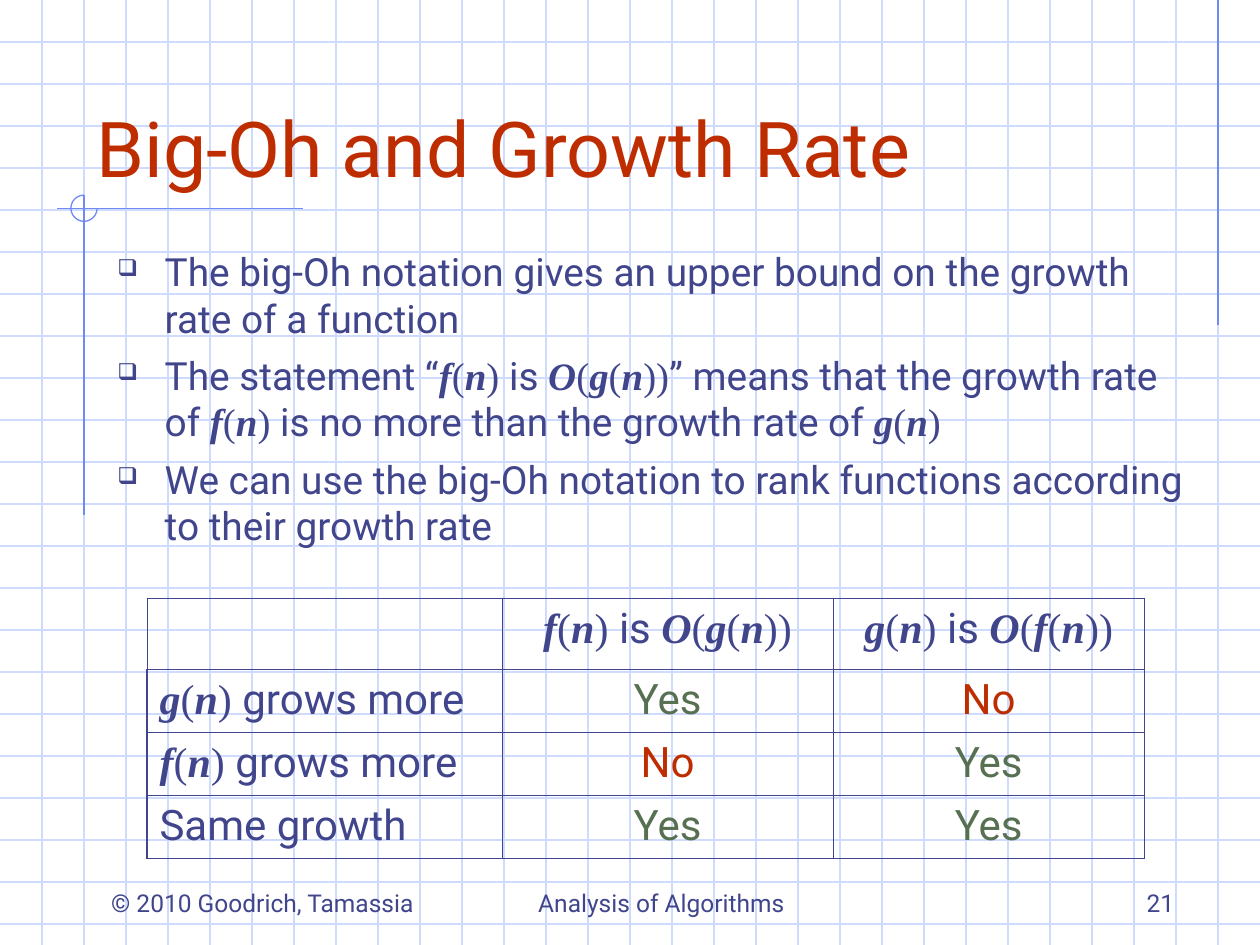
from itertools import groupby

from lxml import etree
from pptx import Presentation
from pptx.dml.color import RGBColor
from pptx.enum import shapes, text
from pptx.oxml import ns
from pptx.util import Pt

HUES = {"ink": "40458C", "red": "BE2D00", "green": "577052",
        "grid": "CFDBFD", "rule": "6F89F7"}
SANS, SERIF = "Roboto", "Times New Roman"
LEFT, MID, RIGHT = text.PP_ALIGN.LEFT, text.PP_ALIGN.CENTER, text.PP_ALIGN.RIGHT
TOP, LOW = text.MSO_ANCHOR.TOP, text.MSO_ANCHOR.BOTTOM
STEP = 24

POINTS = [
    "The big-Oh notation gives an upper bound on the growth rate of a function",
    "The statement “|f(n) |is |O(g(n))|” means that the growth rate of "
    "|f(n) |is no more than the growth rate of |g(n)",
    "We can use the big-Oh notation to rank functions according to their growth rate",
]
ROWS = [
    ["", "|f(n) |is |O(g(n))", "|g(n) |is |O(f(n))"],
    ["|g(n) |grows more", "Yes", "No"],
    ["|f(n) |grows more", "No", "Yes"],
    ["Same growth", "Yes", "Yes"],
]


def tint(name):
    return RGBColor.from_string(HUES[name])


def add_el(root, tag, **attrs):
    return etree.SubElement(root, ns.qn(tag), attrs)


def add_run(para, words, size, hue, **form):
    run = para.add_run()
    run.text = words
    for key, val in {"size": Pt(size), "name": SANS, **form}.items():
        setattr(run.font, key, val)
    run.font.color.rgb = tint(hue)


def write(para, words, size, hue, align=LEFT):
    para.alignment = align
    for i, part in enumerate(words.split("|")):
        if i % 2 == 0:
            if part:
                add_run(para, part, size, hue)
            continue
        for slant, chars in groupby(part, str.isalpha):
            add_run(para, "".join(chars), size, hue,
                    name=SERIF, bold=slant, italic=slant)


def add_box(slide, box, anchor):
    frame = slide.shapes.add_textbox(*map(Pt, box)).text_frame
    for key, val in {"word_wrap": True, "vertical_anchor": anchor}.items():
        setattr(frame, key, val)
    return frame


def add_label(slide, box, words, size, hue, align):
    write(add_box(slide, box, LOW).paragraphs[0], words, size, hue, align)


def add_line(slide, ends, hue):
    line = slide.shapes.add_connector(
        shapes.MSO_CONNECTOR.STRAIGHT, *map(Pt, ends))
    line.line.color.rgb = tint(hue)
    line.line.width = Pt(0.75)
    add_el(line._element.spPr, "a:effectLst")


def add_grid(slide, box):
    x, y, wide, high = box
    for pos in range(STEP, high, STEP):
        add_line(slide, (x, y + pos, x + wide, y + pos), "grid")
    for pos in range(STEP, wide, STEP):
        add_line(slide, (x + pos, y, x + pos, y + high), "grid")


def add_rules(slide, box):
    x, y, wide, high = box
    mid = x + 15.5
    add_line(slide, (x + wide, 0, x + wide, 186), "rule")
    add_line(slide, (x + 140.5, y + 7.5, x, y + 7.5), "rule")
    add_line(slide, (mid, y, mid, y + high), "rule")
    arc = slide.shapes.add_shape(
        shapes.MSO_SHAPE.ARC, Pt(mid - 7.5), Pt(y), Pt(15), Pt(15))
    arc.adjustments[0] = 0
    arc.adjustments[1] = 270 * 0.6
    arc.shadow.inherit = False
    arc.fill.background()
    arc.line.color.rgb = tint("rule")
    arc.line.width = Pt(0.75)


def add_points(slide, box):
    frame = add_box(slide, box, TOP)
    for i, words in enumerate(POINTS):
        para = frame.add_paragraph() if i else frame.paragraphs[0]
        if i:
            para.space_before = Pt(6)
        props = para._p.get_or_add_pPr()
        props.set("marL", str(Pt(27)))
        props.set("indent", str(-Pt(27)))
        add_el(add_el(props, "a:buClr"), "a:srgbClr", val=HUES["ink"])
        add_el(props, "a:buSzPct", val="60000")
        add_el(props, "a:buChar", char="❑")
        write(para, words, 22.2, "ink")


def add_edge(cell, side, width):
    edge = add_el(cell._tc.get_or_add_tcPr(), "a:ln" + side, w=str(Pt(width)))
    add_el(add_el(edge, "a:solidFill"), "a:srgbClr", val=HUES["ink"])


def add_chart(slide, box):
    table = slide.shapes.add_table(len(ROWS), 3, *map(Pt, box)).table
    table.first_row = table.horz_banding = False
    for col, wide in zip(table.columns, (203, 189, 178)):
        col.width = Pt(wide)
    last = len(ROWS) - 1
    for r, row in enumerate(ROWS):
        table.rows[r].height = Pt(36 if r else 40.5)
        for c, words in enumerate(row):
            cell = table.cell(r, c)
            hue = {"Yes": "green", "No": "red"}.get(words, "ink")
            write(cell.text_frame.paragraphs[0], words, 24, hue,
                  MID if c else LEFT)
            outer = {"L": c == 0 and r > 0, "R": c == 2,
                     "T": r == 0, "B": r == last}
            for side, thick in outer.items():
                add_edge(cell, side, 1.08 if thick else 0.45)
            cell.fill.background()


def main():
    deck = Presentation()
    deck.slide_width, deck.slide_height = Pt(720), Pt(540)
    slide = deck.slides.add_slide(deck.slide_layouts[6])
    add_grid(slide, (0, 0, 720, 540))
    add_rules(slide, (32.5, 111.5, 663.5, 183))
    add_label(slide, (48, 24, 612, 90), "Big-Oh and Growth Rate", 44, "red", LEFT)
    add_points(slide, (60, 138, 630, 204))
    add_chart(slide, (84, 342, 570, 148.5))
    for x, wide, words, align in (
            (54, 192, "© 2010 Goodrich, Tamassia", MID),
            (264, 228, "Analysis of Algorithms", MID),
            (528, 150, "21", RIGHT)):
        add_label(slide, (x, 492, wide, 36), words, 14, "ink", align)


    deck.save("out.pptx")


if __name__ == "__main__":
    main()
